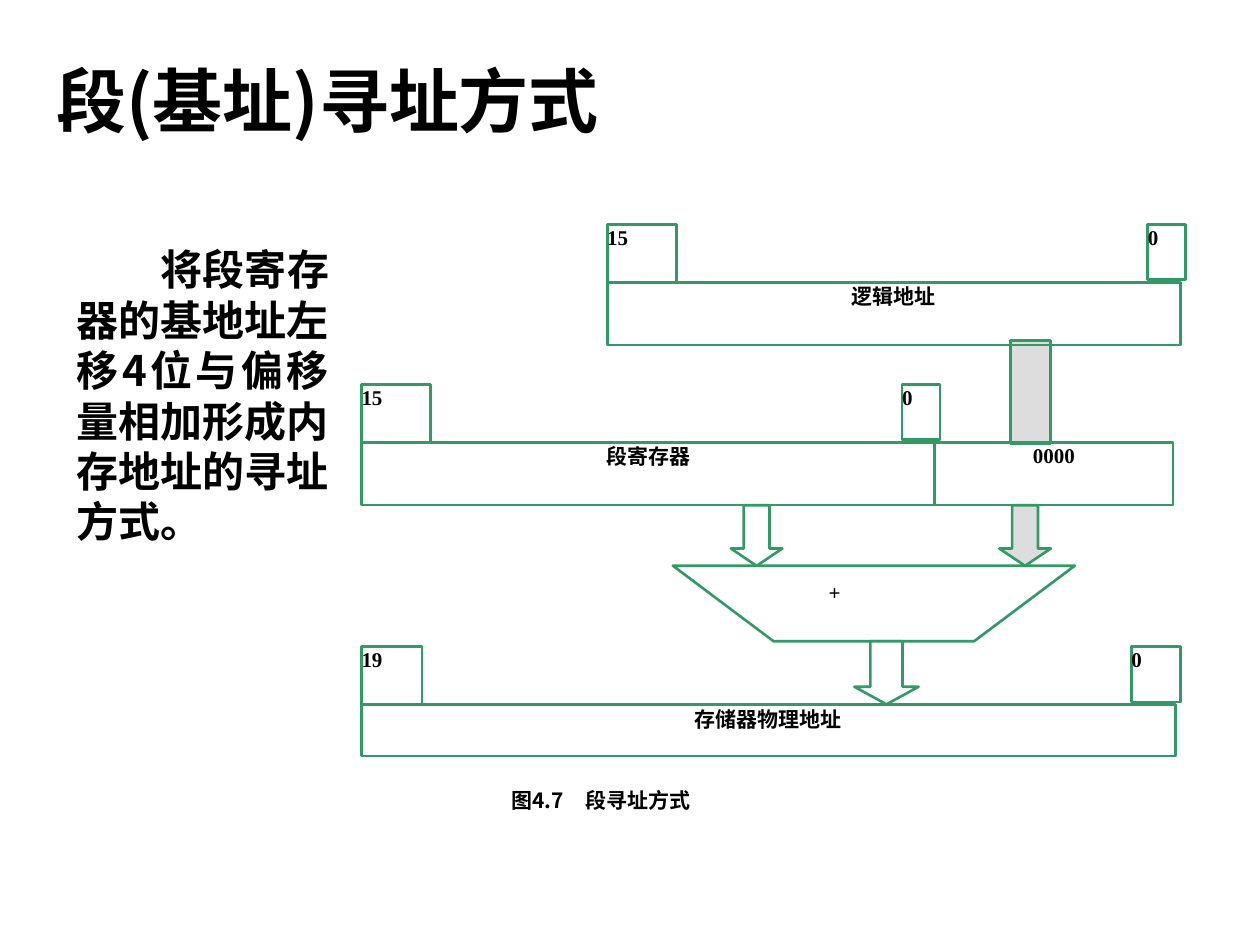
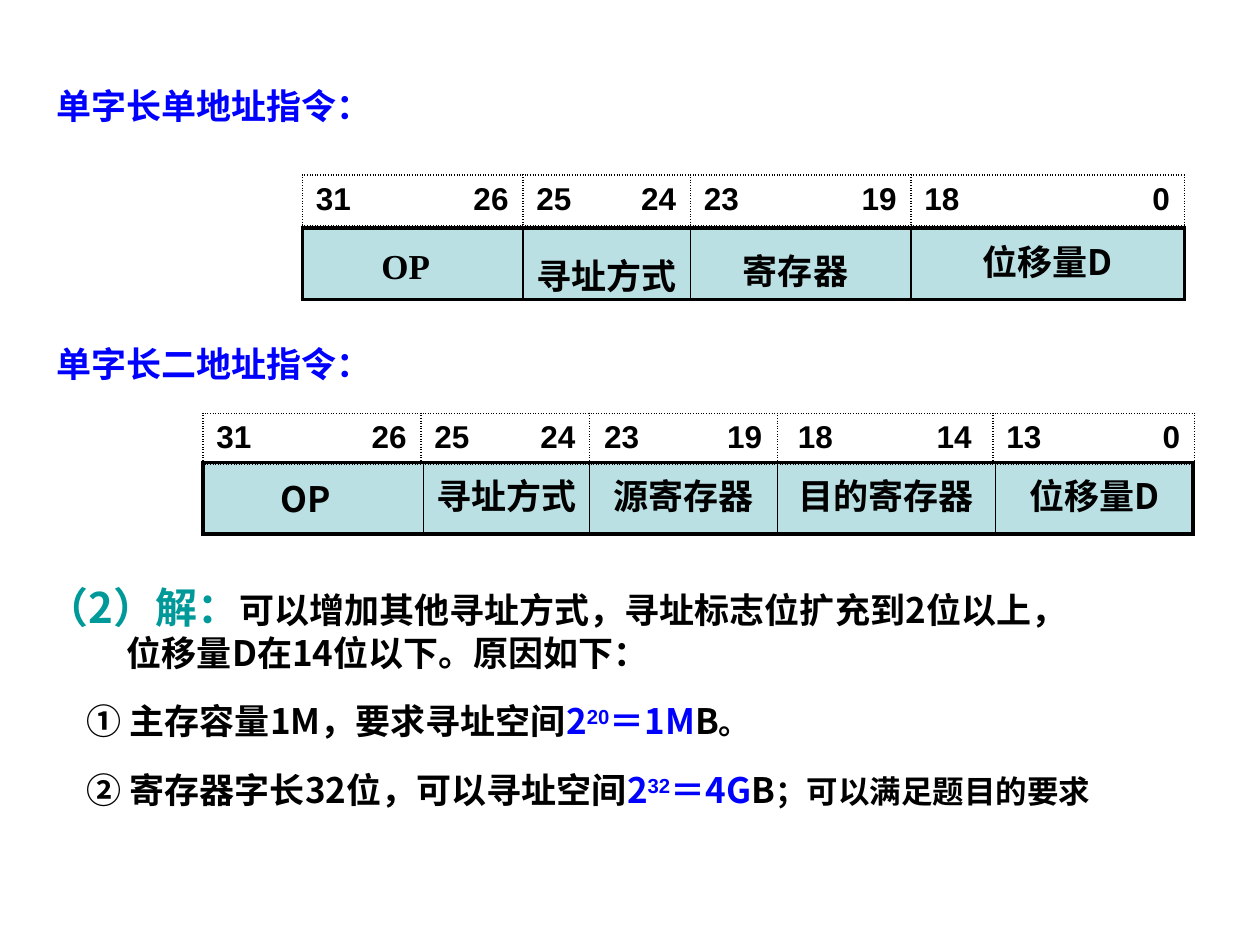
from dataclasses import dataclass
from lxml import etree
from pptx import Presentation
from pptx.dml.color import RGBColor
from pptx.enum.shapes import MSO_SHAPE
from pptx.enum.text import MSO_ANCHOR, PP_ALIGN
from pptx.oxml.ns import qn
from pptx.util import Pt


@dataclass(frozen=True)
class Theme:
    ink: str = "000000"
    heading: str = "0000FF"
    answer: str = "009999"
    outline: str = "339966"
    paper: str = "FFFFFF"
    shade: str = "DDDDDD"
    field: str = "BBE0E3"
    cjk: str = "Noto Sans CJK SC"
    serif: str = "Times New Roman"
    sans: str = "Arial"
    title: int = 40
    body: int = 24
    item: int = 20
    bits: int = 18
    label: int = 12
    leading: float = 1.2
    thin: float = 1
    medium: float = 1.5
    thick: float = 2.25


T = Theme()
LEFT, CENTER, JUSTIFY = PP_ALIGN.LEFT, PP_ALIGN.CENTER, PP_ALIGN.JUSTIFY
INSET_X, INSET_Y = 7.2, 3.6


def run(text, **fmt):
    return text, fmt


def write(p, runs, size=T.item, font=T.cjk, color=T.ink, align=LEFT,
          indent=0, leading=T.leading):
    """Fill a paragraph with a string or a list of run() pairs."""
    if isinstance(runs, str):
        runs = [run(runs)]
    p.alignment = align
    if leading:
        p.line_spacing = Pt(leading * max(f.get("size", size) for _, f in runs))
    if indent:
        p._p.get_or_add_pPr().set("indent", str(Pt(indent)))
    for text, fmt in runs:
        r = p.add_run()
        r.text = text
        r.font.size = Pt(fmt.get("size", size))
        r.font.bold = True
        r.font.color.rgb = RGBColor.from_string(fmt.get("color", color))
        r.font.name = fmt.get("font", font)
        rPr = r._r.get_or_add_rPr()
        etree.SubElement(rPr, qn("a:ea")).set("typeface", T.cjk)
        if fmt.get("raised"):
            rPr.set("baseline", "30000")


def set_border(cell, side, width, dash="solid"):
    tcPr = cell._tc.get_or_add_tcPr()
    ln = etree.SubElement(tcPr, qn(f"a:ln{side}"), w=str(Pt(width)))
    fill = etree.SubElement(ln, qn("a:solidFill"))
    etree.SubElement(fill, qn("a:srgbClr"), val=T.ink)
    etree.SubElement(ln, qn("a:prstDash"), val=dash)


class Deck:
    def __init__(self):
        self.prs = Presentation()
        self.prs.slide_width, self.prs.slide_height = Pt(720), Pt(540)
        self.s = None

    def new_slide(self):
        self.s = self.prs.slides.add_slide(self.prs.slide_layouts[6])

    def frame(self, sp, inset_x=0, inset_y=0):
        tf = sp.text_frame
        tf.word_wrap = True
        tf.vertical_anchor = MSO_ANCHOR.TOP
        tf.margin_left = tf.margin_right = Pt(inset_x)
        tf.margin_top = tf.margin_bottom = Pt(inset_y)
        return tf

    def text(self, x, y, w, h, *paragraphs, inset_x=INSET_X, inset_y=INSET_Y,
             size=T.item, **fmt):
        """Add a text box; each paragraph is (runs, own format)."""
        sp = self.s.shapes.add_textbox(Pt(x), Pt(y), Pt(w), Pt(h))
        tf = self.frame(sp, inset_x, inset_y)
        tf.margin_top = Pt(inset_y + 0.08 * size)
        for i, (runs, own) in enumerate(paragraphs):
            p = tf.add_paragraph() if i else tf.paragraphs[0]
            write(p, runs, **{"size": size, **fmt, **own})

    def paint(self, sp, fill=None):
        sp.shadow.inherit = False
        sp.line.color.rgb = RGBColor.from_string(T.outline)
        sp.line.width = Pt(T.medium)
        if fill:
            sp.fill.solid()
            sp.fill.fore_color.rgb = RGBColor.from_string(fill)
        else:
            sp.fill.background()

    def shape(self, kind, x, y, w, h, fill=None):
        sp = self.s.shapes.add_shape(kind, Pt(x), Pt(y), Pt(w), Pt(h))
        self.paint(sp, fill)
        return sp

    def arrow(self, x, y, w, h, fill=T.paper, head=0.335):
        sp = self.shape(MSO_SHAPE.DOWN_ARROW, x, y, w, h, fill)
        sp.adjustments[0], sp.adjustments[1] = 0.5, head

    def box(self, x, y, w, h, text, align=CENTER):
        tf = self.frame(self.shape(MSO_SHAPE.RECTANGLE, x, y, w, h))
        tf.margin_top = Pt(0 if text.isascii() else 1)
        write(tf.paragraphs[0], text, size=T.label, font=T.serif, align=align)

    def register(self, x, y, w, h, name, high_bit, high_w=39.6, low_w=21.6):
        """Draw a register with its first and last bit numbers above it."""
        self.box(x, y, w, h, name)
        self.box(x, y - 33.1, high_w, 33.1, high_bit, JUSTIFY)
        self.box(x + w - low_w + 2.9, y - 33.1, low_w, 31.7, "0", JUSTIFY)

    def adder(self, points, sign):
        pts = [(Pt(x), Pt(y)) for x, y in points]
        builder = self.s.shapes.build_freeform(*pts[0], scale=1.0)
        builder.add_line_segments(pts[1:], close=True)
        sp = builder.convert_to_shape()
        self.paint(sp, T.paper)
        tf = self.frame(sp)
        tf.margin_top = Pt(8)
        write(tf.paragraphs[0], sign, size=T.label, font=T.serif, indent=89)

    def row(self, x, y, h, widths):
        """Add a plain one-row table and return its cells."""
        table = self.s.shapes.add_table(1, len(widths), Pt(x), Pt(y),
                                        Pt(sum(widths)), Pt(h)).table
        table.first_row = table.horz_banding = False
        table.rows[0].height = Pt(h)
        for column, w in zip(table.columns, widths):
            column.width = Pt(w)
        return list(table.rows[0].cells)

    def bit_row(self, x, y, widths, ranges):
        for cell, w, (high, low, pad) in zip(self.row(x, y, 28.8, widths),
                                             widths, ranges):
            for side in "LRTB":
                set_border(cell, side, T.thin, "sysDot")
            cell.fill.background()
            cell.margin_left = Pt(INSET_X + pad)
            p = cell.text_frame.paragraphs[0]
            tabs = etree.SubElement(p._p.get_or_add_pPr(), qn("a:tabLst"))
            stop = w - 2 * INSET_X - 2 * pad - 0.5
            etree.SubElement(tabs, qn("a:tab"), pos=str(Pt(stop)), algn="r")
            write(p, f"{high}\t{low}", size=T.bits, font=T.sans, leading=None)

    def field_row(self, x, y, widths, fields):
        """Each field is (name, top margin, extra right margin, font)."""
        cells = self.row(x, y, 41, widths)
        for cell, (name, top, extra, font) in zip(cells, fields):
            set_border(cell, "L", T.thick if cell is cells[0] else T.thin)
            set_border(cell, "R", T.thick if cell is cells[-1] else T.thin)
            set_border(cell, "T", T.thick)
            set_border(cell, "B", T.thick)
            cell.fill.solid()
            cell.fill.fore_color.rgb = RGBColor.from_string(T.field)
            cell.margin_top, cell.margin_bottom = Pt(top), Pt(0)
            cell.margin_right = Pt(INSET_X + extra)
            write(cell.text_frame.paragraphs[0], name, font=font,
                  align=CENTER, leading=None)


def segment_addressing(d):
    d.new_slide()
    d.text(25.2, 25.9, 624.2, 374, ("段(基址)寻址方式", {}), size=T.title,
           align=JUSTIFY)
    definition = [run("将段寄存器的基地址左移"), run("4", font=T.cjk),
                  run("位与偏移量相加形成内存地址的寻址方式。")]
    d.text(36.7, 133.9, 158.4, 208.8, (definition, {}), size=T.body,
           font=T.serif, align=JUSTIFY, indent=48)

    d.adder([(384.5, 323.3), (442.1, 366.5), (556.6, 366.5), (614.2, 323.3)], "+")
    d.shape(MSO_SHAPE.RECTANGLE, 577.4, 194.4, 23, 59, T.shade)
    d.arrow(571, 288.7, 29.5, 34.6, T.shade)
    d.arrow(417.6, 288.7, 29.5, 34.6)
    d.arrow(488.2, 366.5, 36.7, 36, head=0.278)

    d.register(347, 161.3, 327.6, 36, "逻辑地址", "15")
    d.register(206.6, 252.7, 327.6, 36, "段寄存器", "15")
    d.box(534.2, 252.7, 136.1, 36, "0000")
    d.register(206.6, 402.5, 465.1, 29.5, "存储器物理地址", "19", 34.6, 28.1)
    d.text(262.8, 449.3, 347.8, 36, ("图4.7　段寻址方式", {}), inset_x=0,
           inset_y=0, size=T.label, indent=29.6)


def instruction_formats(d):
    d.new_slide()
    for y, heading in ((43.2, "单字长单地址指令："), (190.8, "单字长二地址指令：")):
        d.text(25.2, y, 527.8, 31, (heading, {}), color=T.heading)

    one_address = [126, 95.8, 126, 156.2]
    d.field_row(172.8, 130.3, one_address, [
        ("OP", 11.3, 8, T.serif), ("寻址方式", 12, 0, T.cjk),
        ("寄存器", 9, 6, T.cjk), ("位移量D", INSET_Y, 0, T.cjk)])
    d.bit_row(172.8, 100.1, one_address,
              [(31, 26, 0.5), (25, 24, 0.5), (23, 19, 0.5), (18, 0, 0.5)])

    d.field_row(115.9, 264.2, [126, 95, 107.3, 124.6, 113], [
        ("OP", 5.6, 8, T.cjk), ("寻址方式", INSET_Y, 0, T.cjk),
        ("源寄存器", INSET_Y, 0, T.cjk), ("目的寄存器", INSET_Y, 0, T.cjk),
        ("位移量D", INSET_Y, 0, T.cjk)])
    d.bit_row(115.9, 236.2, [124.6, 96.5, 107.3, 123.1, 115.2],
              [(31, 26, 0.5), (25, 24, 0.5), (23, 19, 1), (18, 14, 4.5), (13, 0, 0.5)])

    answer = [run("（2）解：", size=T.body, color=T.answer),
              run("可以增加其他寻址方式，寻址标志位扩充到2位以上，")]
    d.text(19.4, 326.9, 700.6, 59.8, (answer, {}),
           ("位移量D在14位以下。原因如下：", {"indent": 46}))
    reasons = [("① 主存容量1M，要求寻址空间", "20", "＝1M", "。"),
               ("② 寄存器字长32位，可以寻址空间", "32", "＝4G", "；可以满足题目的要求")]
    for i, (claim, power, amount, ending) in enumerate(reasons):
        reason = [run(claim), run("2", color=T.heading),
                  run(power, color=T.heading, font=T.sans, raised=True),
                  run(amount, color=T.heading), run("B"),
                  run(ending, size=T.bits)]
        d.text(42.5, 394.6 + 39.6 * i, 658.1, 31, (reason, {}))


def main():
    d = Deck()
    segment_addressing(d)
    instruction_formats(d)
    d.prs.save("out.pptx")


if __name__ == "__main__":
    main()
